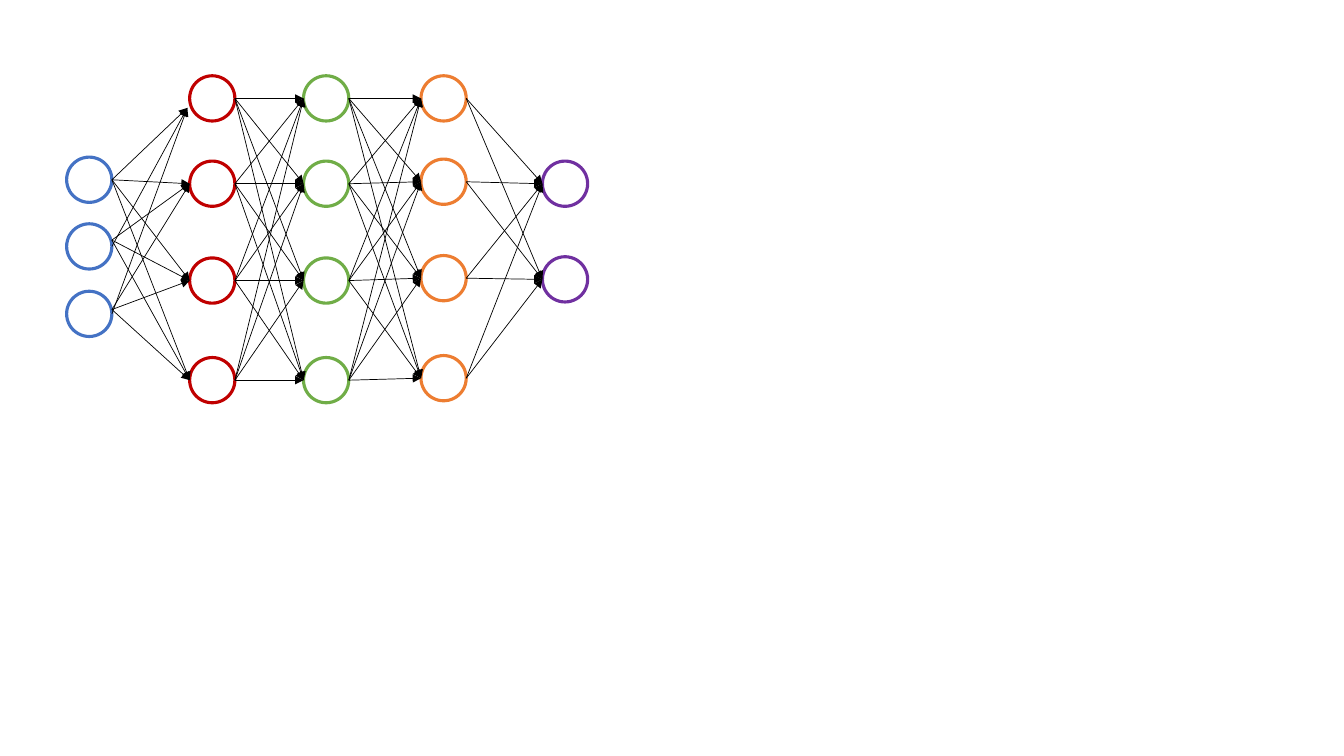
from lxml import etree
from pptx import Presentation
from pptx.dml.color import RGBColor
from pptx.enum.shapes import MSO_CONNECTOR, MSO_SHAPE
from pptx.oxml.ns import qn
from pptx.util import Cm, Pt

OVAL = MSO_SHAPE.OVAL
STRAIGHT = MSO_CONNECTOR.STRAIGHT
DIAMETER = 1.14

# Layers from input to output: left edge, outline colour, node centre heights (cm)
LAYERS = [
    (1.68, "4472C4", [4.53, 6.21, 7.91]),
    (4.78, "C00000", [2.48, 4.63, 7.07, 9.58]),
    (7.65, "70AD47", [2.48, 4.63, 7.07, 9.58]),
    (10.61, "ED7D31", [2.48, 4.58, 7.01, 9.53]),
    (13.67, "7030A0", [4.63, 7.04]),
]

# Input arrows leave a little above the lower nodes, except those to the top node
INPUT_STARTS = [4.53, 6.05, 7.8]
TOP_HIDDEN_TIP = (4.72, 2.72)


def color(hex_code):
    return RGBColor.from_string(hex_code)


def add_arrow(slide, start_x, start_y, end_x, end_y):
    arrow = slide.shapes.add_connector(
        STRAIGHT, Cm(start_x), Cm(start_y), Cm(end_x), Cm(end_y))
    arrow.line.color.rgb = color("000000")
    arrow.line.width = Pt(0.5)
    properties = arrow._element.spPr
    etree.SubElement(properties.find(qn("a:ln")), qn("a:tailEnd"), type="triangle")
    etree.SubElement(properties, qn("a:effectLst"))


presentation = Presentation()
presentation.slide_width = Cm(33.87)
presentation.slide_height = Cm(19.05)
slide = presentation.slides.add_slide(presentation.slide_layouts[6])

# Nodes
for left, outline, centers in LAYERS:
    for center in centers:
        node = slide.shapes.add_shape(
            OVAL, Cm(left), Cm(center - DIAMETER / 2), Cm(DIAMETER), Cm(DIAMETER))
        node.shadow.inherit = False
        node.fill.solid()
        node.fill.fore_color.rgb = color("FFFFFF")
        node.line.color.rgb = color(outline)
        node.line.width = Pt(2.25)

# Arrows from the input layer to the first hidden layer
input_left, _, input_centers = LAYERS[0]
hidden_left, _, hidden_centers = LAYERS[1]
for center, start in zip(input_centers, INPUT_STARTS):
    add_arrow(slide, input_left + DIAMETER, center, *TOP_HIDDEN_TIP)
    for target in hidden_centers[1:]:
        add_arrow(slide, input_left + DIAMETER, start, hidden_left, target)

# Arrows between the remaining layers, every node to every node
for (left, _, centers), (next_left, _, targets) in zip(LAYERS[1:], LAYERS[2:]):
    for center in centers:
        for target in targets:
            add_arrow(slide, left + DIAMETER, center, next_left, target)

presentation.save("out.pptx")
